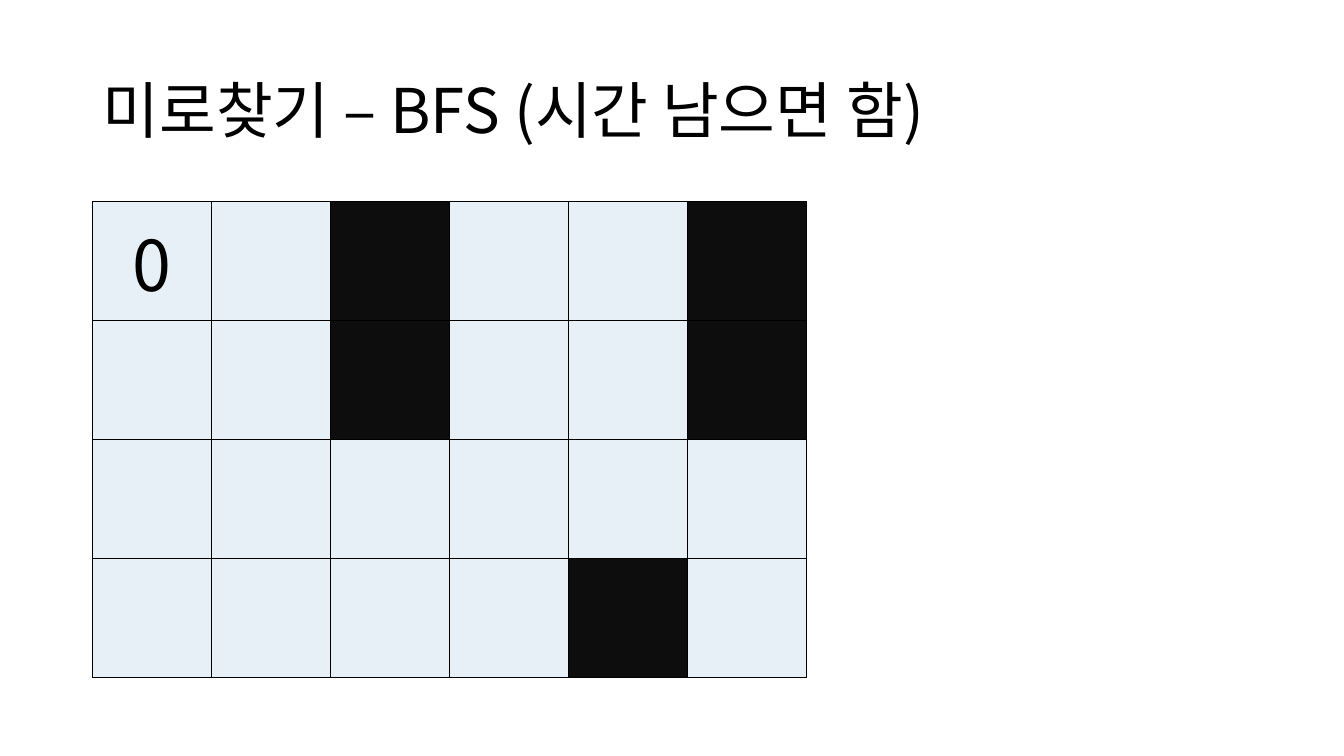
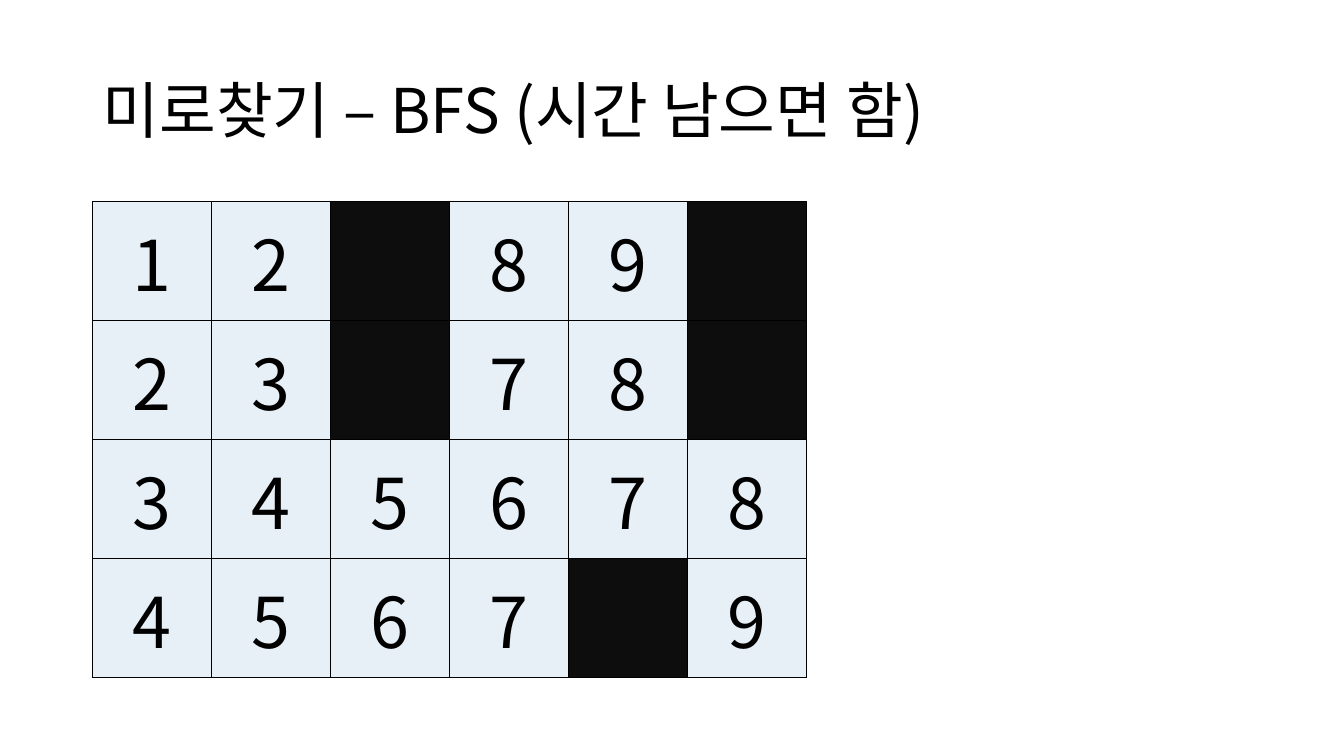
from dataclasses import dataclass

from lxml import etree
from pptx import Presentation
from pptx.dml.color import RGBColor
from pptx.enum.text import MSO_ANCHOR, PP_ALIGN
from pptx.oxml.ns import qn
from pptx.util import Inches, Pt

LEFT, CENTER = PP_ALIGN.LEFT, PP_ALIGN.CENTER
MIDDLE = MSO_ANCHOR.MIDDLE

FONT = "Noto Sans CJK KR"
BLACK, OPEN_FILL, WALL_FILL = "000000", "E7F0F7", "0D0D0D"
TITLE = "미로찾기 – BFS (시간 남으면 함)"
TITLE_BOX = {"left": Inches(0.92), "top": Inches(0.4),
             "width": Inches(11.5), "height": Inches(1.45)}
TITLE_PARAGRAPH = {"alignment": LEFT, "line_spacing": 0.9}
CELL_PARAGRAPH = {"alignment": CENTER}
TITLE_FONT = {"name": FONT, "size": Pt(44), "bold": False}
CELL_FONT = {"name": FONT, "size": Pt(50), "bold": False}
TABLE_FLAGS = {"first_row": False, "horz_banding": False}
TABLE_LEFT, TABLE_TOP, CELL_SIZE = Inches(0.92), Inches(2), Inches(1.18)
BORDER_WIDTH = Pt(1)
WALL, EMPTY = "#", "."


@dataclass(frozen=True)
class Maze:
    """Rows of one-character cells: a wall, an empty cell or a distance."""
    rows: tuple[str, ...]


MAZES = (
    Maze(("0.#..#", "..#..#", "......", "....#.")),
    Maze(("12#89#", "23#78#", "345678", "4567#9")),
)


def color(value: str) -> RGBColor:
    return RGBColor.from_string(value)


def apply_format(target, values: dict) -> None:
    for name, value in values.items():
        setattr(target, name, value)


def write_text(text_frame, text: str, paragraph_format: dict, font_format: dict) -> None:
    paragraph = text_frame.paragraphs[0]
    apply_format(paragraph, paragraph_format)
    run = paragraph.add_run()
    run.text = text
    apply_format(run.font, font_format)
    run.font.color.rgb = color(BLACK)
    # The Korean letters need the East Asian typeface
    etree.SubElement(run.font._element, qn("a:ea"), typeface=FONT)


def add_borders(cell) -> None:
    properties = cell._tc.get_or_add_tcPr()
    for side in ("a:lnL", "a:lnR", "a:lnT", "a:lnB"):
        line = etree.SubElement(properties, qn(side), w=str(BORDER_WIDTH))
        fill = etree.SubElement(line, qn("a:solidFill"))
        etree.SubElement(fill, qn("a:srgbClr"), val=BLACK)


def add_title(slide) -> None:
    title = slide.shapes.title
    apply_format(title, TITLE_BOX)
    title.text_frame.vertical_anchor = MIDDLE
    write_text(title.text_frame, TITLE, TITLE_PARAGRAPH, TITLE_FONT)


def add_maze(slide, maze: Maze) -> None:
    row_count, column_count = len(maze.rows), len(maze.rows[0])
    table = slide.shapes.add_table(
        row_count, column_count, TABLE_LEFT, TABLE_TOP,
        CELL_SIZE * column_count, CELL_SIZE * row_count).table
    apply_format(table, TABLE_FLAGS)
    for row_index, row in enumerate(maze.rows):
        for column_index, mark in enumerate(row):
            cell = table.cell(row_index, column_index)
            cell.vertical_anchor = MIDDLE
            add_borders(cell)
            cell.fill.solid()
            cell.fill.fore_color.rgb = color(WALL_FILL if mark == WALL else OPEN_FILL)
            if mark not in (WALL, EMPTY):
                write_text(cell.text_frame, mark, CELL_PARAGRAPH, CELL_FONT)


def main() -> None:
    presentation = Presentation()
    presentation.slide_width = Inches(13.33)
    presentation.slide_height = Inches(7.5)
    title_only = presentation.slide_layouts[5]
    for maze in MAZES:
        slide = presentation.slides.add_slide(title_only)
        add_title(slide)
        add_maze(slide, maze)
    presentation.save("out.pptx")


if __name__ == "__main__":
    main()
